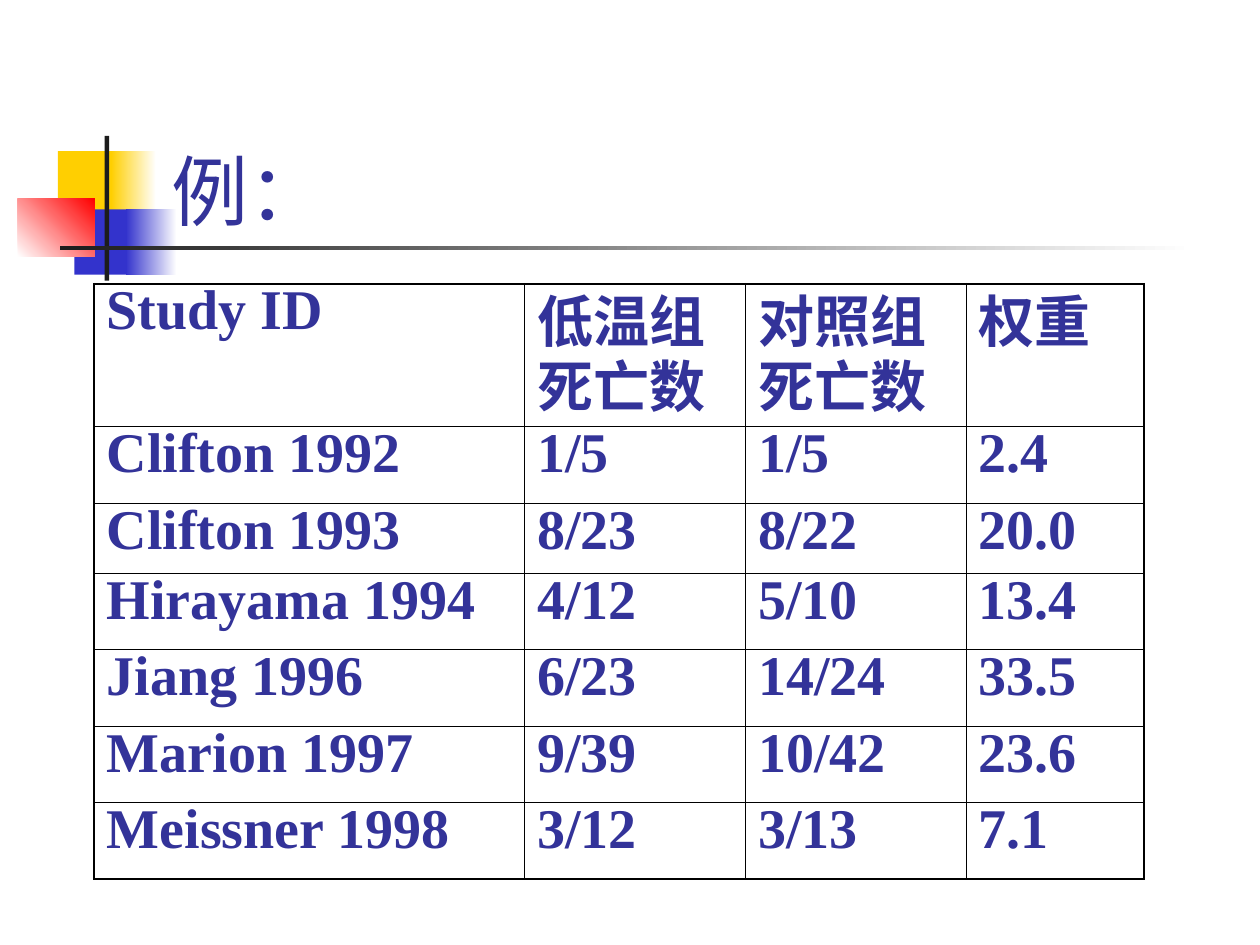
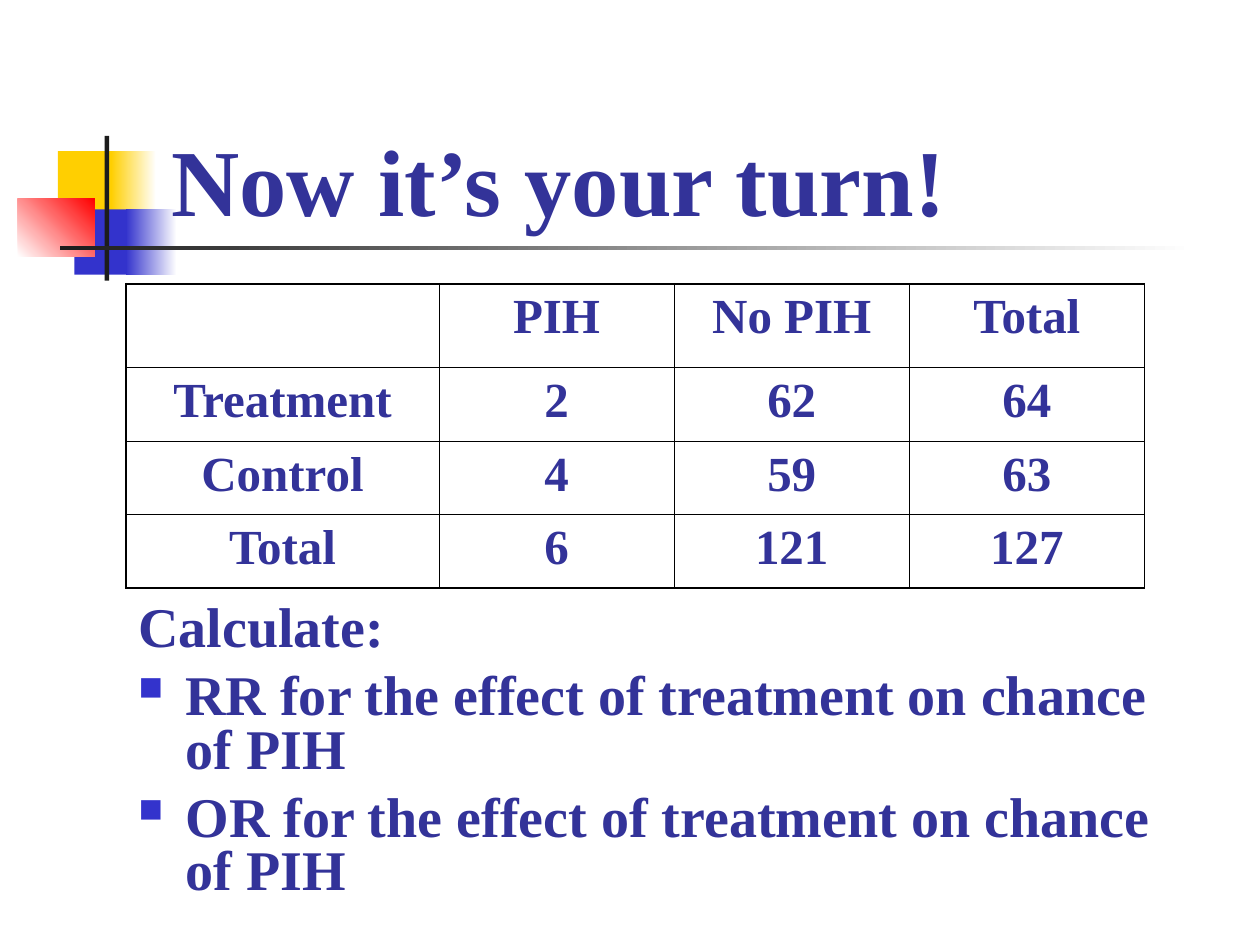
import dataclasses

import lxml.etree
import pptx
import pptx.dml.color
import pptx.enum.shapes
import pptx.enum.text
import pptx.oxml.ns
import pptx.util

Cm = pptx.util.Cm
Pt = pptx.util.Pt
qn = pptx.oxml.ns.qn
ALIGN = pptx.enum.text.PP_ALIGN


@dataclasses.dataclass(frozen=True)
class Theme:
    text: str = "333399"
    yellow: str = "FFCF01"
    blue: str = "3333CC"
    red: str = "FF0000"
    dark: str = "1C1C1C"
    white: str = "FFFFFF"
    border: str = "000000"
    serif: str = "Times New Roman"
    sans: str = "Roboto"
    title_size: int = 44
    big_title_size: int = 54
    body_size: int = 32
    table_size: int = 28
    outer_line: float = 1.08
    inner_line: float = 0.45
    tight: float = 0.8


THEME = Theme()

# left, top, width, height in cm, colour, angle of the fade from white (None is solid)
MOTIF = [
    (1.17, 3.05, 1.22, 1.32, THEME.yellow, None),
    (2.24, 3.05, 0.91, 1.32, THEME.yellow, 180),
    (1.5, 4.22, 1.17, 1.32, THEME.blue, None),
    (2.54, 4.22, 1.02, 1.32, THEME.blue, 180),
    (0.36, 4.01, 1.55, 1.17, THEME.red, 45),
    (2.11, 2.74, 0.09, 2.92, THEME.dark, None),
    (1.22, 4.95, 22.86, 0.09, THEME.dark, 180),
]

STUDIES = [
    ("Study ID", "低温组死亡数", "对照组死亡数", "权重"),
    ("Clifton 1992", "1/5", "1/5", "2.4"),
    ("Clifton 1993", "8/23", "8/22", "20.0"),
    ("Hirayama 1994", "4/12", "5/10", "13.4"),
    ("Jiang 1996", "6/23", "14/24", "33.5"),
    ("Marion 1997", "9/39", "10/42", "23.6"),
    ("Meissner 1998", "3/12", "3/13", "7.1"),
]

PIH_COUNTS = [
    ("", "PIH", "No PIH", "Total"),
    ("Treatment", "2", "62", "64"),
    ("Control", "4", "59", "63"),
    ("Total", "6", "121", "127"),
]

TASKS = [
    ("Calculate:", False),
    ("RR for the effect of treatment on chance of PIH", True),
    ("OR for the effect of treatment on chance of PIH", True),
]


def rgb(colour):
    return pptx.dml.color.RGBColor.from_string(colour)


def set_values(target, **values):
    for name, value in values.items():
        setattr(target, name, value)


class Deck:
    def __init__(self, theme):
        self.theme = theme
        self.prs = pptx.Presentation()
        set_values(self.prs, slide_width=Cm(25.4), slide_height=Cm(19.05))
        self.layout = self.prs.slide_layouts.get_by_name("Title Only")
        self.slide = None

    def add_text(self, paragraph, text, size, font=None, bold=True, **layout):
        set_values(paragraph, **layout)
        run = paragraph.add_run()
        run.text = text
        set_values(run.font, name=font or self.theme.serif, size=Pt(size), bold=bold)
        run.font.color.rgb = rgb(self.theme.text)

    def add_slide(self, title, size, **style):
        self.slide = self.prs.slides.add_slide(self.layout)
        heading = self.slide.shapes.title
        set_values(heading, left=Cm(3.2), top=Cm(1.7), width=Cm(21.64), height=Cm(3.18))
        frame = heading.text_frame
        set_values(frame, word_wrap=True, auto_size=pptx.enum.text.MSO_AUTO_SIZE.NONE,
                   vertical_anchor=pptx.enum.text.MSO_ANCHOR.BOTTOM)
        self.add_text(frame.paragraphs[0], title, size, alignment=ALIGN.LEFT, **style)

    def block(self, left, top, width, height, colour, fade_angle):
        block = self.slide.shapes.add_shape(
            pptx.enum.shapes.MSO_SHAPE.RECTANGLE, Cm(left), Cm(top), Cm(width), Cm(height))
        block.shadow.inherit = False
        block.line.fill.background()
        if fade_angle is None:
            block.fill.solid()
            block.fill.fore_color.rgb = rgb(colour)
        else:
            block.fill.gradient()
            block.fill.gradient_angle = fade_angle
            for stop, shade in zip(block.fill.gradient_stops, (self.theme.white, colour)):
                stop.color.rgb = rgb(shade)
        return block

    def decorate_layout(self, motif):
        """Draw the motif on the current slide, then hand it to the shared layout."""
        for part in motif:
            self.layout.shapes.element.append(self.block(*part).element)

    def border(self, cell, side, width):
        line = lxml.etree.SubElement(
            cell._tc.get_or_add_tcPr(), qn(f"a:ln{side}"), w=str(Pt(width)))
        fill = lxml.etree.SubElement(line, qn("a:solidFill"))
        lxml.etree.SubElement(fill, qn("a:srgbClr"), val=self.theme.border)

    def table(self, rows, left, top, widths, heights, size, **layout):
        grid = self.slide.shapes.add_table(
            len(rows), len(widths), Cm(left), Cm(top), Cm(sum(widths)), Cm(sum(heights))).table
        set_values(grid, first_row=False, horz_banding=False)
        for column, width in zip(grid.columns, widths):
            column.width = Cm(width)
        for row, height in zip(grid.rows, heights):
            row.height = Cm(height)
        last_row, last_column = len(rows) - 1, len(widths) - 1
        for r, row in enumerate(rows):
            for c, text in enumerate(row):
                cell = grid.cell(r, c)
                edges = {"L": c == 0, "R": c == last_column, "T": r == 0, "B": r == last_row}
                for side, outer in edges.items():
                    self.border(cell, side,
                                self.theme.outer_line if outer else self.theme.inner_line)
                cell.fill.background()
                if text:
                    self.add_text(cell.text_frame.paragraphs[0], text, size, **layout)

    def hang(self, paragraph, bulleted):
        """Give a hanging indent, with a square bullet if asked."""
        props = paragraph._p.get_or_add_pPr()
        indent = Cm(0.95)
        props.set("marL", str(indent))
        props.set("indent", str(-indent))
        if not bulleted:
            return
        colour = lxml.etree.SubElement(props, qn("a:buClr"))
        lxml.etree.SubElement(colour, qn("a:srgbClr"), val=self.theme.blue)
        lxml.etree.SubElement(props, qn("a:buSzPct"), val="60000")
        lxml.etree.SubElement(props, qn("a:buChar"), char="■")

    def tasks(self, items, left, top, width, height):
        frame = self.slide.shapes.add_textbox(
            Cm(left), Cm(top), Cm(width), Cm(height)).text_frame
        frame.word_wrap = True
        for i, (text, bulleted) in enumerate(items):
            paragraph = frame.add_paragraph() if i else frame.paragraphs[0]
            self.hang(paragraph, bulleted)
            self.add_text(paragraph, text, self.theme.body_size,
                          line_spacing=self.theme.tight, space_before=Pt(8 if i else 0))


def main():
    deck = Deck(THEME)
    table_top = 5.72

    deck.add_slide("例：", THEME.title_size, font=THEME.sans, bold=False)
    deck.decorate_layout(MOTIF)
    deck.table(STUDIES, 1.9, table_top, [8.68, 4.45, 4.45, 3.58],
               [2.88, 1.54, 1.42] + [1.54] * 4, THEME.body_size, line_spacing=THEME.tight)

    deck.add_slide("Now it’s your turn!", THEME.big_title_size)
    deck.tasks(TASKS, 2.54, 12.07, 21.59, 6.25)
    deck.table(PIH_COUNTS, 2.54, table_top, [6.31] + [4.74] * 3,
               [1.69] + [1.48] * 3, THEME.table_size, alignment=ALIGN.CENTER)

    deck.prs.save("out.pptx")


if __name__ == "__main__":
    main()
